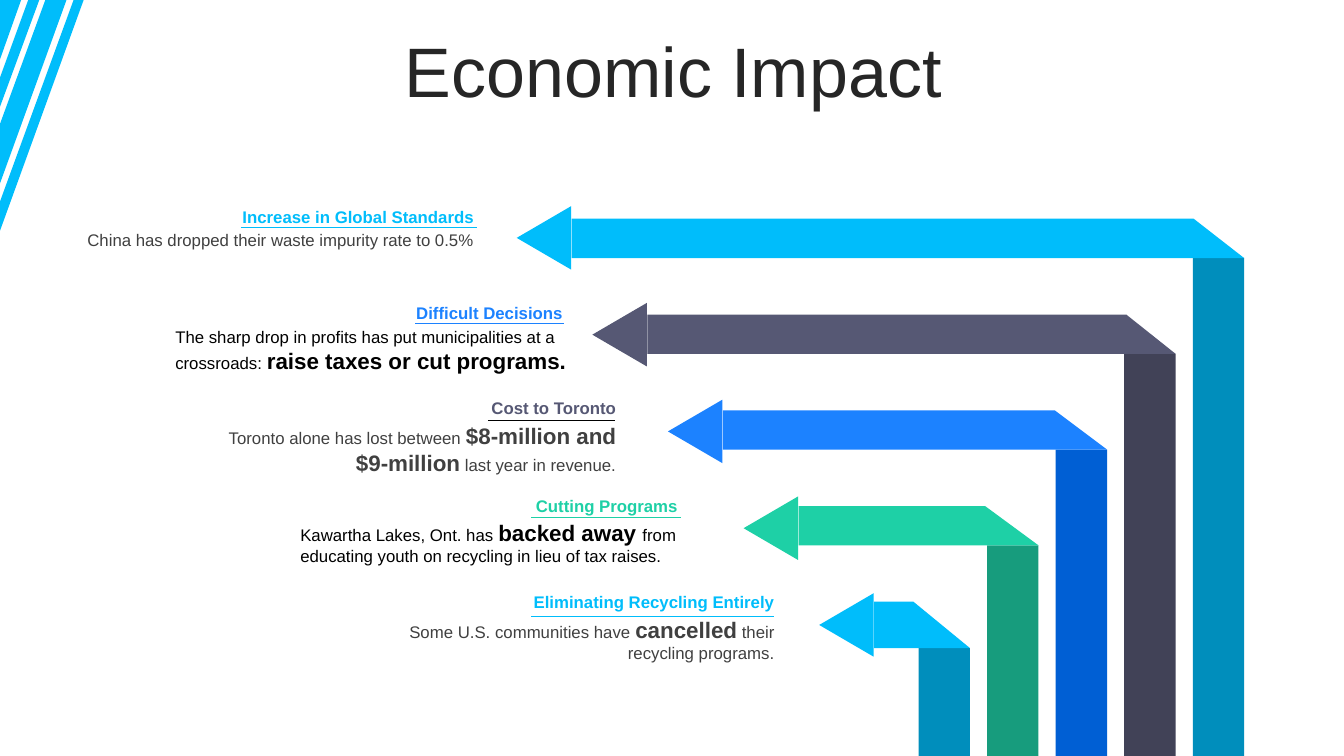
import pptx
import pptx.util
import pptx.dml.color
import pptx.enum.shapes
import pptx.enum.text
import pptx.oxml

Inches = pptx.util.Inches
Pt = pptx.util.Pt
RGB = pptx.dml.color.RGBColor
SHAPE = pptx.enum.shapes.MSO_SHAPE
ALIGN = pptx.enum.text.PP_ALIGN

SKY, SKY_DARK = RGB(0x00, 0xBD, 0xFB), RGB(0x00, 0x8E, 0xBC)
SLATE, SLATE_DARK = RGB(0x56, 0x58, 0x74), RGB(0x41, 0x42, 0x57)
BLUE, BLUE_DARK = RGB(0x1C, 0x82, 0xFF), RGB(0x00, 0x5F, 0xD4)
GREEN, GREEN_DARK = RGB(0x1E, 0xD0, 0xA6), RGB(0x17, 0x9C, 0x7D)
BLACK, GREY, INK = RGB(0, 0, 0), RGB(0x40, 0x40, 0x40), RGB(0x26, 0x26, 0x26)

STRIPES = [
    [(0, 0), (0.21, 0), (0, 0.59)],
    [(0.28, 0), (0.39, 0), (0, 1.06), (0, 0.77)],
    [(0.45, 0), (0.66, 0), (0, 1.82), (0, 1.23)],
    [(0.73, 0), (0.83, 0), (0, 2.29), (0, 2)],
]

# colour, post colour, fold x, post top
ARROWS = [
    (SKY, SKY_DARK, 11.84, 2.56),
    (SLATE, SLATE_DARK, 11.17, 3.51),
    (BLUE, BLUE_DARK, 10.46, 4.46),
    (GREEN, GREEN_DARK, 9.77, 5.41),
    (SKY, SKY_DARK, 9.06, 6.43),
]

# heading, colour, (left, top), rule (x1, x2, y, colour), body (left, top, height, colour, align), runs (text, strong)
TOPICS = [
    ("Increase in Global Standards", SKY, (0.65, 2), (2.39, 4.73, 2.26, SKY),
     (0.65, 2.23, 0.3, GREY, ALIGN.RIGHT),
     [("China has dropped their waste impurity rate to 0.5%", False)]),
    ("Difficult Decisions", BLUE, (1.53, 2.95), (4.12, 5.59, 3.21, BLUE),
     (1.64, 3.19, 0.57, BLACK, ALIGN.LEFT),
     [("The sharp drop in profits has put municipalities at a crossroads: ", False),
      ("raise taxes or cut programs.", True)]),
    ("Cost to Toronto", SLATE, (2.06, 3.9), (4.84, 6.1, 4.17, BLACK),
     (2.06, 4.14, 0.64, GREY, ALIGN.RIGHT),
     [("Toronto alone has lost between ", False), ("$8-million and $9-million", True),
      (" last year in revenue.", False)]),
    ("Cutting Programs", GREEN, (2.67, 4.87), (5.27, 6.75, 5.13, GREEN),
     (2.88, 5.1, 0.57, BLACK, ALIGN.LEFT),
     [("Kawartha Lakes, Ont. has ", False), ("backed away ", True),
      ("from educating youth on recycling in lieu of tax raises.", False)]),
    ("Eliminating Recycling Entirely", SKY, (3.63, 5.82), (5.27, 7.68, 6.11, SKY),
     (3.63, 6.06, 0.57, GREY, ALIGN.RIGHT),
     [("Some U.S. communities have ", False), ("cancelled", True),
      (" their recycling programs.", False)]),
]


class Deck:
    """Hold the text style and the current slide, and draw its elements."""

    font, size, strong_size, text_width = "Arial", Pt(12), Pt(16), Inches(4.15)

    def __init__(self, slide):
        self.slide = slide
        self.shapes = slide.shapes

    def paint(self, sp, color):
        sp.shadow.inherit = False
        sp.fill.solid()
        sp.fill.fore_color.rgb = color
        sp.line.fill.background()

    def title(self, text, left, top, width, height):
        sp = self.shapes.title
        sp.left, sp.top, sp.width, sp.height = map(Inches, (left, top, width, height))
        tf = sp.text_frame
        tf.text = text
        tf.auto_size = pptx.enum.text.MSO_AUTO_SIZE.NONE
        tf.vertical_anchor = pptx.enum.text.MSO_ANCHOR.MIDDLE
        p = tf.paragraphs[0]
        p.alignment, p.line_spacing = ALIGN.CENTER, 0.8
        p.font.name, p.font.size, p.font.color.rgb = self.font, Pt(50), INK

    def shape(self, kind, left, top, width, height, color, rotation=0):
        sp = self.shapes.add_shape(kind, *map(Inches, (left, top, width, height)))
        sp.rotation = rotation
        self.paint(sp, color)

    def outline(self, contours, color):
        contours = [[(Inches(x), Inches(y)) for x, y in c] for c in contours]
        builder = self.shapes.build_freeform(*contours[0][0])
        for i, contour in enumerate(contours):
            if i:
                builder.move_to(*contour[0])
            builder.add_line_segments(contour[1:], close=True)
        self.paint(builder.convert_to_shape(), color)

    def text(self, left, top, height, color, align, runs):
        sp = self.shapes.add_textbox(Inches(left), Inches(top), self.text_width, Inches(height))
        tf = sp.text_frame
        tf.word_wrap = True
        p = tf.paragraphs[0]
        p.alignment = align
        p.font.name, p.font.color.rgb = self.font, color
        if len(runs) == 1:
            p.font.size, p.font.bold = self.size, runs[0][1]
        for words, strong in runs:
            r = p.add_run()
            r.text = words
            if len(runs) > 1:
                r.font.size = self.strong_size if strong else self.size
                r.font.bold = strong

    def rule(self, x1, x2, y, color):
        line = self.shapes.add_connector(
            pptx.enum.shapes.MSO_CONNECTOR.STRAIGHT, *map(Inches, (x1, y, x2, y)))
        line.line.color.rgb = color
        line.line.width = Pt(0.5)
        sp_pr = line._element.spPr
        sp_pr.append(pptx.oxml.parse_xml(
            '<a:effectLst xmlns:a="http://schemas.openxmlformats.org/drawingml/2006/main"/>'))

    def arrow(self, i, color, post_color, fold, post_top):
        post, bar, top = 11.83 - 0.68 * i, 5.67 + 0.75 * i, 2.17 + 0.95 * i
        self.shape(SHAPE.RECTANGLE, post, post_top, 0.51, 7.5 - post_top, post_color)
        self.outline([[(bar, top), (fold, top), (post + 0.51, post_top), (bar, post_top)]], color)
        self.shape(SHAPE.ISOSCELES_TRIANGLE, bar - 0.59, 2.09 + 0.96 * i, 0.63, 0.54, color, 270)


def main():
    prs = pptx.Presentation()
    prs.slide_width, prs.slide_height = Inches(13.33), Inches(7.5)
    deck = Deck(prs.slides.add_slide(prs.slide_layouts[5]))
    deck.outline(STRIPES, SKY)
    deck.title("Economic Impact", 0.35, 0.37, 12.66, 0.79)
    for i, arrow in enumerate(ARROWS):
        deck.arrow(i, *arrow)
    for heading, color, (left, top), rule, body, runs in TOPICS:
        deck.text(*body, runs)
        deck.text(left, top, 0.3, color, ALIGN.RIGHT, [(heading, True)])
        deck.rule(*rule)
    prs.save("out.pptx")


if __name__ == "__main__":
    main()
